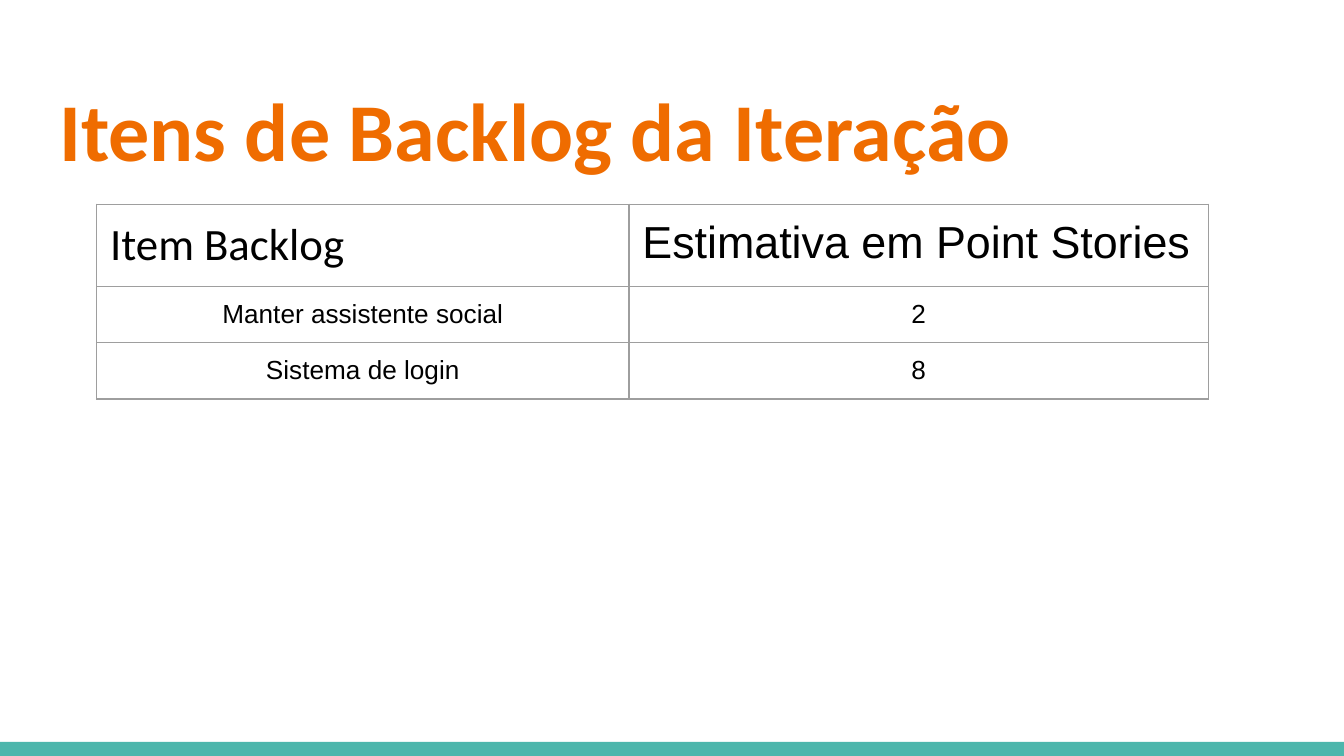
import pptx
import pptx.dml.color
import pptx.enum.shapes
import pptx.enum.text
import pptx.oxml
import pptx.oxml.ns
import pptx.util
from pptx.util import Inches

ROWS = [
    ("Item Backlog", "Estimativa em Point Stories"),
    ("Manter assistente social", "2"),
    ("Sistema de login", "8"),
]


def rgb(value):
    """Turn a hex string into a colour."""
    return pptx.dml.color.RGBColor.from_string(value)


def format_text(tf, size, font, color="000000", bold=False, align="LEFT"):
    """Format every run of a text frame."""
    for p in tf.paragraphs:
        p.alignment = getattr(pptx.enum.text.PP_ALIGN, align)
        for r in p.runs:
            r.font.size = pptx.util.Pt(size)
            r.font.name = font
            r.font.bold = bold
            r.font.color.rgb = rgb(color)


def set_margins(target):
    """Give a cell or text frame equal margins."""
    for side in ("left", "top", "right", "bottom"):
        setattr(target, f"margin_{side}", Inches(0.1))


def add_title(s, text):
    """Place and format the title."""
    title = s.shapes.title
    title.left, title.top = Inches(0.34), Inches(0.49)
    title.width, title.height = Inches(9.32), Inches(0.77)
    tf = title.text_frame
    tf.text = text
    tf.word_wrap = True
    tf.auto_size = pptx.enum.text.MSO_AUTO_SIZE.NONE
    tf.vertical_anchor = pptx.enum.text.MSO_ANCHOR.TOP
    set_margins(tf)
    format_text(tf, 44, "Calibri", "EF6C00", bold=True)


def add_bar(s):
    """Draw the band along the bottom edge."""
    sp = s.shapes.add_shape(
        pptx.enum.shapes.MSO_SHAPE.RECTANGLE,
        Inches(0), Inches(5.52), Inches(10), Inches(0.11))
    sp.shadow.inherit = False
    sp.fill.solid()
    sp.fill.fore_color.rgb = rgb("4DB6AC")
    sp.line.fill.background()


def set_borders(cell, color, width):
    """Draw a thin line on all four sides of a cell."""
    tc_pr = cell._tc.get_or_add_tcPr()
    for i, side in enumerate(("lnL", "lnR", "lnT", "lnB")):
        tc_pr.insert(i, pptx.oxml.parse_xml(
            f'<a:{side} {pptx.oxml.ns.nsdecls("a")} w="{pptx.util.Pt(width)}">'
            f'<a:solidFill><a:srgbClr val="{color}"/></a:solidFill></a:{side}>'))


def add_backlog_table(s):
    """Add the backlog items with their estimates."""
    widths, heights = (3.96, 4.31), (0.61, 0.42, 0.42)
    table = s.shapes.add_table(
        len(heights), len(widths), Inches(0.72), Inches(1.52),
        Inches(sum(widths)), Inches(sum(heights))).table
    table.first_row = table.horz_banding = False
    for column, width in zip(table.columns, widths):
        column.width = Inches(width)
    for i, (row, texts) in enumerate(zip(table.rows, ROWS)):
        row.height = Inches(heights[i])
        for j, (cell, text) in enumerate(zip(row.cells, texts)):
            cell.text_frame.text = text
            set_margins(cell)
            cell.fill.background()
            set_borders(cell, "9E9E9E", 0.75)
            if i == 0:
                format_text(cell.text_frame, 24, ("Calibri", "Arial")[j])
            else:
                format_text(cell.text_frame, 14, "Arial", align="CENTER")


def main():
    """Build and save the slide."""
    prs = pptx.Presentation()
    prs.slide_width = Inches(10)
    prs.slide_height = Inches(10) * 9 // 16
    s = prs.slides.add_slide(prs.slide_layouts[5])
    add_bar(s)
    add_title(s, "Itens de Backlog da Iteração")
    add_backlog_table(s)
    prs.save("out.pptx")


if __name__ == "__main__":
    main()
